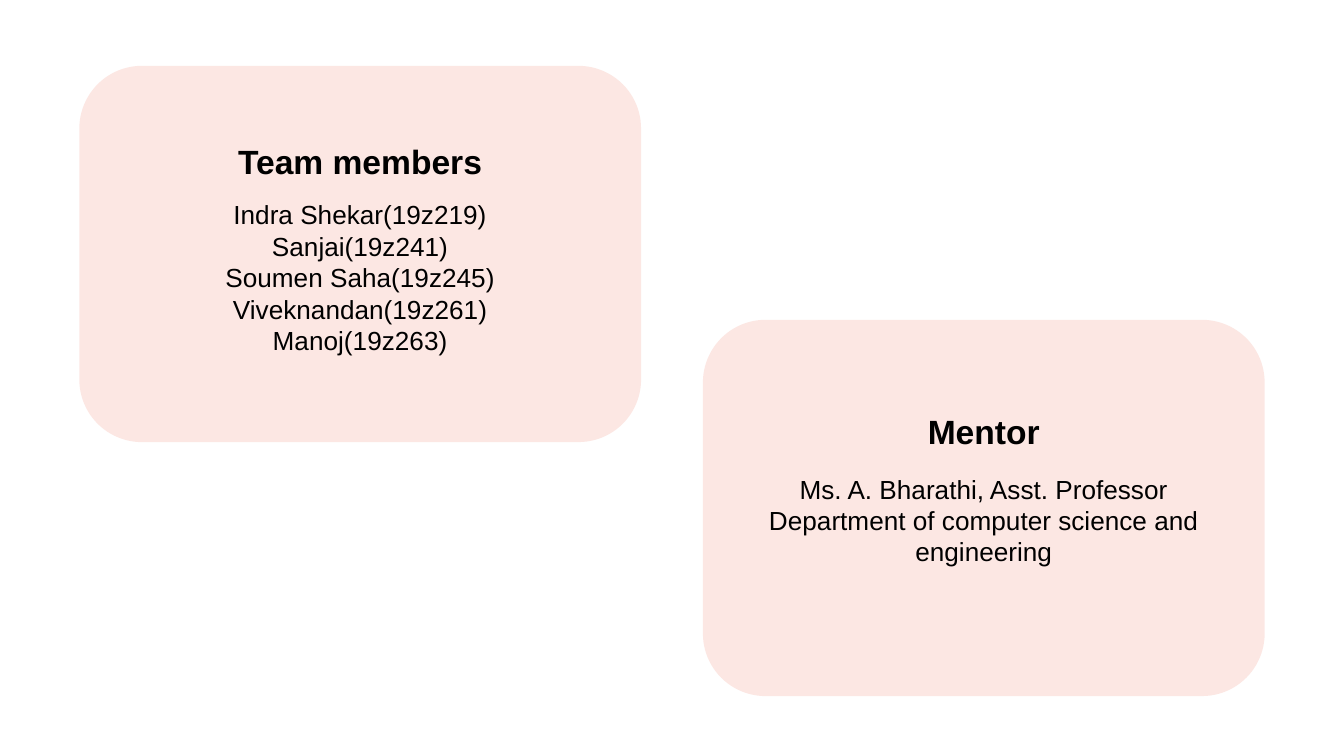
"""Build a slide with one card for the team members and one for the mentor."""
from pptx import Presentation, util as u
from pptx.dml.color import RGBColor
from pptx.enum import shapes, text
from lxml import etree

COLORS = {"card": "EA4827", "ink": "000000"}
CARD_WIDTH, CARD_HEIGHT = 4.18, 2.8
INSET, TEXT_WIDTH = 0.26, 3.66
HEADING_HEIGHT = 0.36

people = [
    (0.59, 0.49, "Team members", 0.53, 0.89, 1.24,
     ["Indra Shekar(19z219)", "Sanjai(19z241)", "Soumen Saha(19z245)",
      "Viveknandan(19z261)", "Manoj(19z263)"]),
    (5.23, 2.38, "Mentor", 0.65, 1.04, 1.12,
     ["Ms. A. Bharathi, Asst. Professor",
      "Department of computer science and engineering"]),
]

deck = Presentation()
deck.slide_width = u.Inches(10)
deck.slide_height = u.Inches(10 * 9 / 16)
slide = deck.slides.add_slide(deck.slide_layouts[6])


def add_lines(left, top, height, lines, size, bold, anchor):
    box = slide.shapes.add_textbox(
        u.Inches(left), u.Inches(top), u.Inches(TEXT_WIDTH), u.Inches(height))
    frame = box.text_frame
    frame.word_wrap = True
    frame.vertical_anchor = anchor
    frame.margin_left = frame.margin_right = u.Inches(0.1)
    frame.margin_top = frame.margin_bottom = u.Inches(0.1)
    frame.text = "\n".join(lines)
    for paragraph in frame.paragraphs:
        paragraph.alignment = text.PP_ALIGN.CENTER
        for run in paragraph.runs:
            run.font.name = "Arial"
            run.font.size = u.Pt(size)
            run.font.bold = bold
            run.font.color.rgb = RGBColor.from_string(COLORS["ink"])


for left, top, heading, heading_drop, names_drop, names_height, names in people:
    card = slide.shapes.add_shape(
        shapes.MSO_SHAPE.ROUNDED_RECTANGLE, u.Inches(left), u.Inches(top),
        u.Inches(CARD_WIDTH), u.Inches(CARD_HEIGHT))
    card.shadow.inherit = False
    card.line.fill.background()
    card.fill.solid()
    card.fill.fore_color.rgb = RGBColor.from_string(COLORS["card"])
    tint = card.fill._xPr.solidFill.srgbClr
    etree.SubElement(tint, tint.tag.replace("srgbClr", "alpha"), val="13000")

    add_lines(left + INSET, top + heading_drop, HEADING_HEIGHT,
              [heading], 18, True, text.MSO_ANCHOR.MIDDLE)
    add_lines(left + INSET, top + names_drop, names_height,
              names, 14, False, text.MSO_ANCHOR.TOP)

deck.save("out.pptx")
